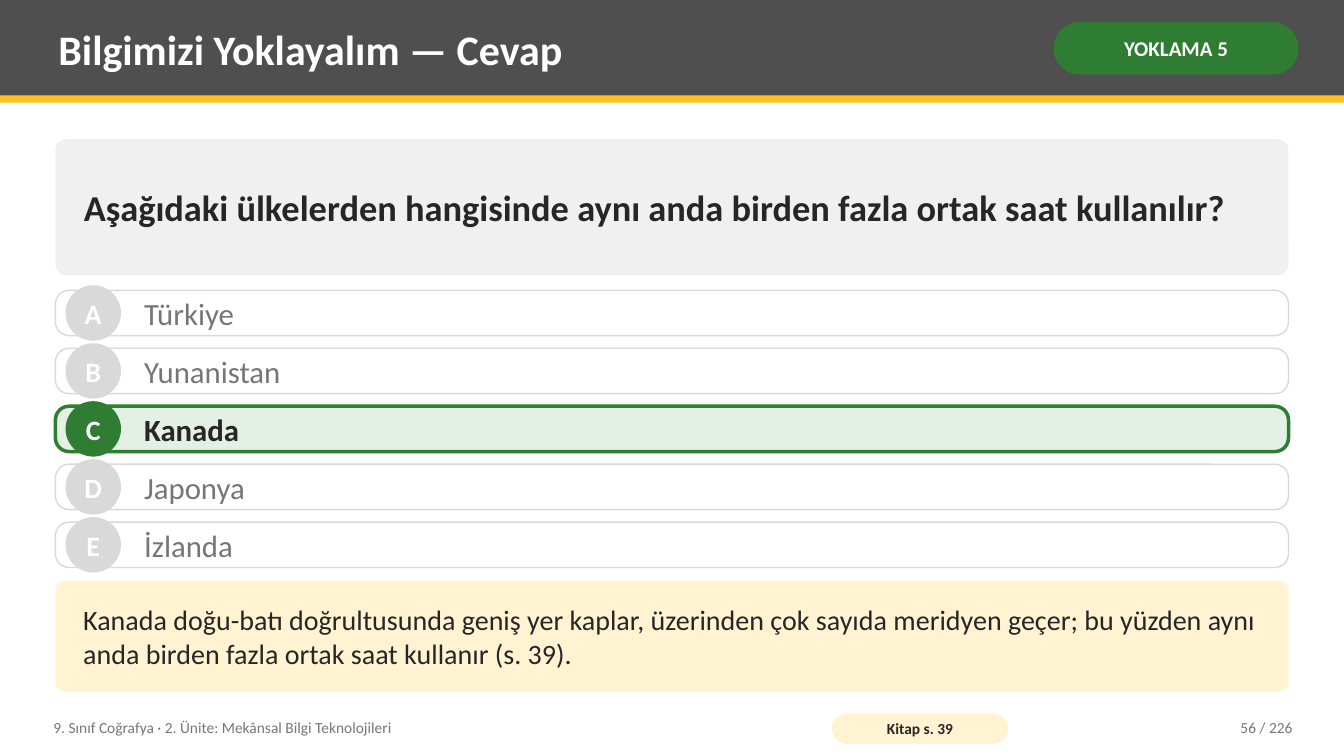
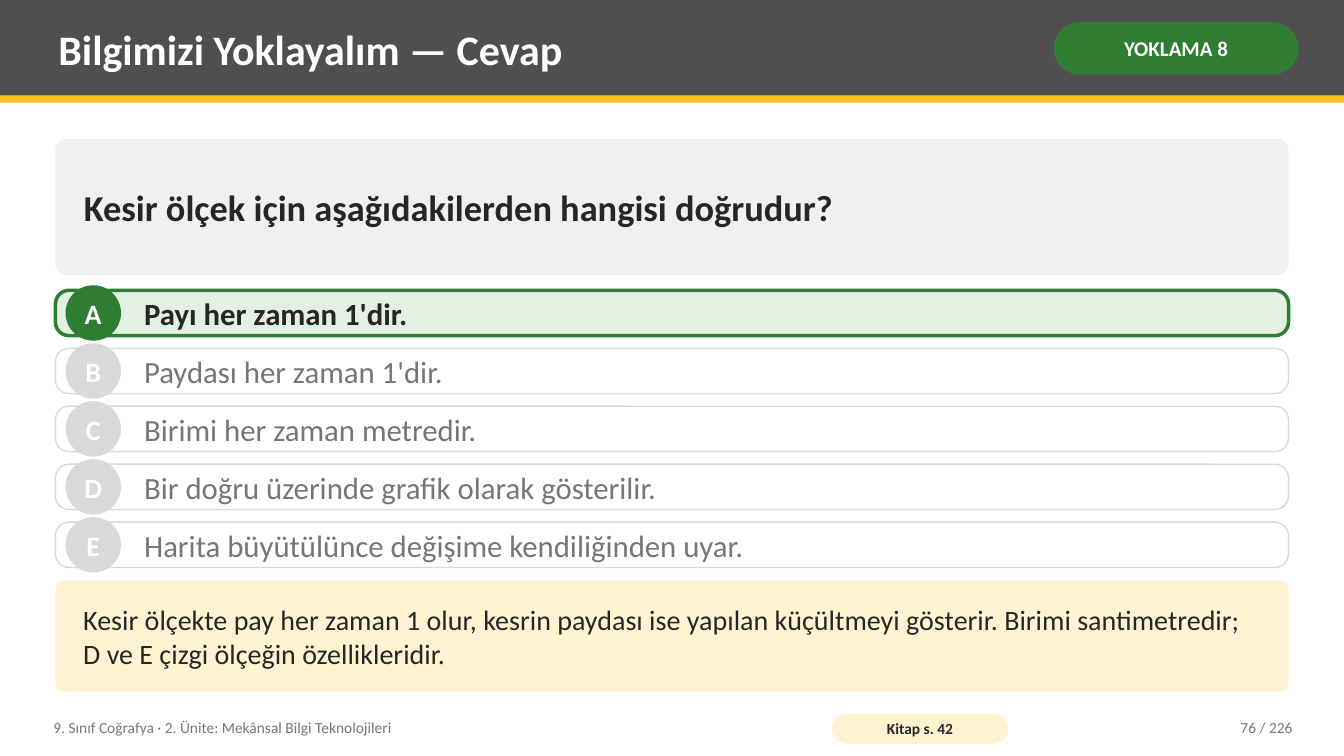
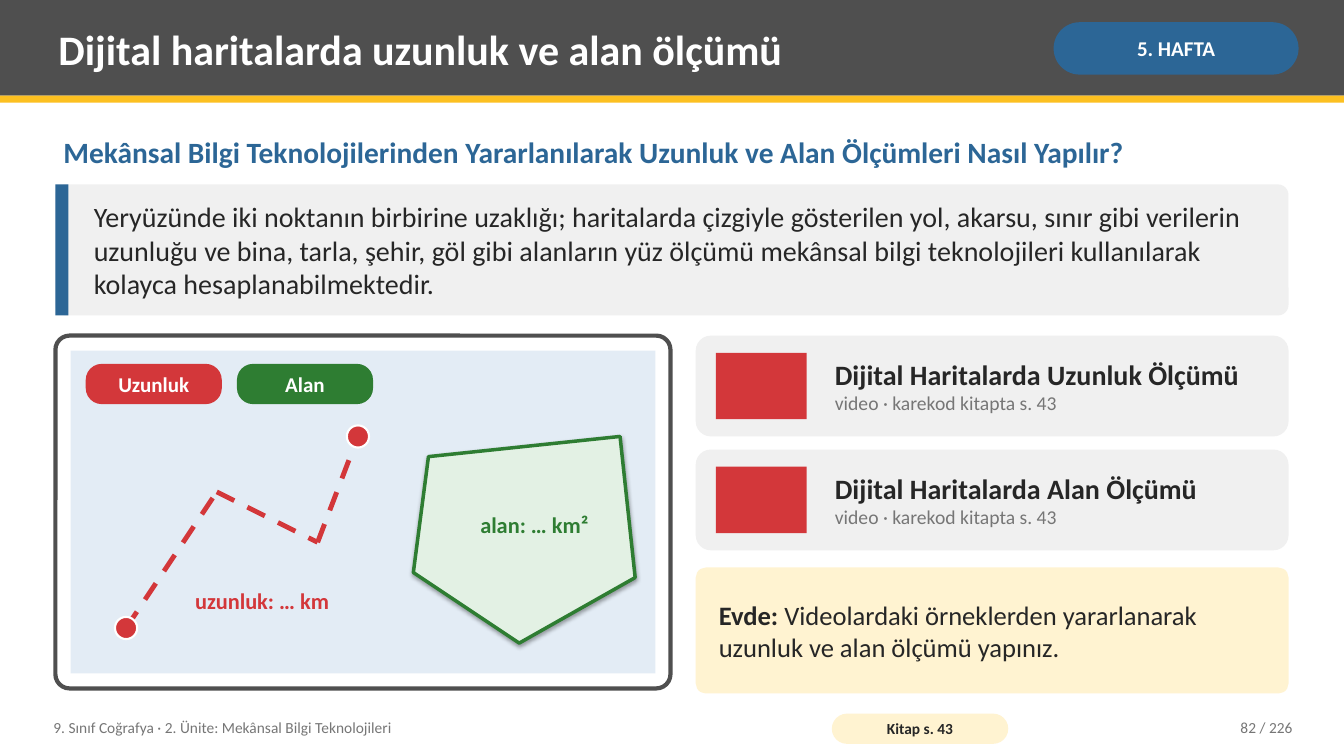
from dataclasses import dataclass
from typing import NamedTuple, Optional

import lxml.etree
import pptx
import pptx.dml.color
import pptx.enum.dml
import pptx.enum.shapes
import pptx.enum.text
import pptx.oxml.ns
import pptx.util

Inches = pptx.util.Inches
RGBColor = pptx.dml.color.RGBColor
MSO_SHAPE = pptx.enum.shapes.MSO_SHAPE
PP_ALIGN = pptx.enum.text.PP_ALIGN

FONT = "Calibri"
WHITE = RGBColor(0xFF, 0xFF, 0xFF)
INK = RGBColor(0x26, 0x26, 0x26)
CHARCOAL = RGBColor(0x4F, 0x4F, 0x4F)
MUTED = RGBColor(0x76, 0x76, 0x76)
SILVER = RGBColor(0xD9, 0xD9, 0xD9)
PANEL = RGBColor(0xF0, 0xF0, 0xF0)
AMBER = RGBColor(0xFC, 0xC0, 0x21)
CREAM = RGBColor(0xFF, 0xF3, 0xD1)
GREEN = RGBColor(0x2E, 0x7D, 0x32)
MINT = RGBColor(0xE3, 0xF1, 0xE4)
BLUE = RGBColor(0x2C, 0x66, 0x96)
MAP_BLUE = RGBColor(0xE3, 0xEC, 0xF5)
RED = RGBColor(0xD3, 0x37, 0x3A)

SLIDE_W, SLIDE_H = 13.33, 7.5
LEFT, CONTENT_W = 0.55, 12.23
TEXT_INSETS = (0.08, 0.04)
CARD_INSETS = (0.25, 0.08)
UNIT = "9. Sınıf Coğrafya · 2. Ünite: Mekânsal Bilgi Teknolojileri"
TOTAL_SLIDES = 226

OPTION_TOP, OPTION_LAST_TOP, OPTION_H = 2.88, 5.18, 0.45
BADGE = 0.55
DOT = 0.22


class Box(NamedTuple):
    left: float
    top: float
    width: float
    height: float


class Stroke(NamedTuple):
    color: RGBColor
    width: float


class Line(NamedTuple):
    text: str
    size: float
    color: RGBColor = INK
    bold: bool = False
    lead: str = ""


@dataclass(frozen=True)
class Frame:
    title: str
    tag: str
    tag_color: RGBColor
    book_page: int
    number: int


@dataclass(frozen=True)
class Quiz:
    frame: Frame
    question: str
    options: tuple[str, ...]
    answer: int
    explanation: str


def write(sp, lines: tuple[Line, ...], align=PP_ALIGN.LEFT, insets=TEXT_INSETS, wrap: bool = True) -> None:
    tf = sp.text_frame
    tf.word_wrap = wrap
    tf.vertical_anchor = pptx.enum.text.MSO_ANCHOR.MIDDLE
    tf.margin_left = tf.margin_right = Inches(insets[0])
    tf.margin_top = tf.margin_bottom = Inches(insets[1])
    for i, line in enumerate(lines):
        p = tf.add_paragraph() if i else tf.paragraphs[0]
        p.alignment = align
        p.font.name = FONT
        p.font.size = pptx.util.Pt(line.size)
        p.font.color.rgb = line.color
        p.font.bold = line.bold
        if line.lead:
            r = p.add_run()
            r.text = line.lead
            r.font.bold = True
        p.add_run().text = line.text


def add_text(s, box: Box, *lines: Line, align=PP_ALIGN.LEFT) -> None:
    write(s.shapes.add_textbox(*map(Inches, box)), lines, align)


def paint(sp, fill: RGBColor, stroke: Optional[Stroke] = None) -> None:
    sp.fill.solid()
    sp.fill.fore_color.rgb = fill
    if stroke:
        sp.line.color.rgb = stroke.color
        sp.line.width = pptx.util.Pt(stroke.width)
    else:
        sp.line.fill.background()


def add_shape(s, kind, box: Box, fill: RGBColor, stroke: Optional[Stroke] = None):
    sp = s.shapes.add_shape(kind, *map(Inches, box))
    sp.shadow.inherit = False
    paint(sp, fill, stroke)
    return sp


def add_card(s, box: Box, fill: RGBColor, radius: float = 0.08, stroke: Optional[Stroke] = None):
    sp = add_shape(s, MSO_SHAPE.ROUNDED_RECTANGLE, box, fill, stroke)
    sp.adjustments[0] = radius
    return sp


def add_pill(s, box: Box, fill: RGBColor, line: Line, radius: float, insets) -> None:
    write(add_card(s, box, fill, radius), (line,), PP_ALIGN.CENTER, insets)


def add_dashed_line(s, start: tuple[float, float], end: tuple[float, float]) -> None:
    sp = s.shapes.add_connector(pptx.enum.shapes.MSO_CONNECTOR.STRAIGHT, *map(Inches, start + end))
    sp.line.color.rgb = RED
    sp.line.width = pptx.util.Pt(3.5)
    sp.line.dash_style = pptx.enum.dml.MSO_LINE.DASH
    lxml.etree.SubElement(sp._element.spPr, pptx.oxml.ns.qn("a:effectLst"))


def new_slide(prs, frame: Frame):
    s = prs.slides.add_slide(prs.slide_layouts[6])
    s.background.fill.solid()
    s.background.fill.fore_color.rgb = WHITE
    add_shape(s, MSO_SHAPE.RECTANGLE, Box(0, 0, SLIDE_W, 0.95), CHARCOAL)
    add_shape(s, MSO_SHAPE.RECTANGLE, Box(0, 0.95, SLIDE_W, 0.07), AMBER)
    add_text(s, Box(0.5, 0.07, 9.75, 0.82), Line(frame.title, 30, WHITE, True))
    add_pill(s, Box(10.45, 0.22, 2.43, 0.52), frame.tag_color,
             Line(frame.tag, 15, WHITE, True), 0.5, (0.05, 0.02))
    add_text(s, Box(0.45, 7.04, 7.6, 0.36), Line(UNIT, 11, MUTED))
    add_pill(s, Box(8.25, 7.08, 1.75, 0.3), CREAM,
             Line(f"Kitap s. {frame.book_page}", 11, INK, True), 0.5, (0.04, 0))
    add_text(s, Box(11.3, 7.04, 1.6, 0.36),
             Line(f"{frame.number} / {TOTAL_SLIDES}", 11, MUTED), align=PP_ALIGN.RIGHT)
    return s


def add_option(s, top: float, letter: str, text: str, correct: bool) -> None:
    accent = GREEN if correct else SILVER
    add_card(s, Box(LEFT, top, CONTENT_W, OPTION_H), MINT if correct else WHITE, 0.3,
             Stroke(accent, 2.5 if correct else 1))
    badge_top = top + (OPTION_H - BADGE) / 2
    badge = add_shape(s, MSO_SHAPE.OVAL, Box(0.65, badge_top, BADGE, BADGE), accent)
    write(badge, (Line(letter, 20, WHITE, True),), PP_ALIGN.CENTER, (0, 0), wrap=False)
    add_text(s, Box(1.35, top, 11.23, OPTION_H), Line(text, 22, INK if correct else MUTED, correct))


def build_quiz(prs, quiz: Quiz) -> None:
    s = new_slide(prs, quiz.frame)
    question = add_card(s, Box(LEFT, 1.38, CONTENT_W, 1.35), PANEL)
    write(question, (Line(quiz.question, 26, INK, True),), insets=CARD_INSETS)
    step = (OPTION_LAST_TOP - OPTION_TOP) / (len(quiz.options) - 1)
    for i, (letter, text) in enumerate(zip("ABCDE", quiz.options)):
        add_option(s, OPTION_TOP + i * step, letter, text, i == quiz.answer)
    explanation = add_card(s, Box(LEFT, 5.76, CONTENT_W, 1.1), CREAM)
    write(explanation, (Line(quiz.explanation, 20),), insets=CARD_INSETS)


def add_map(s) -> None:
    add_card(s, Box(LEFT, 3.33, 6.1, 3.5), WHITE, 0.04, Stroke(CHARCOAL, 3))
    add_shape(s, MSO_SHAPE.RECTANGLE, Box(0.7, 3.48, 5.8, 3.2), MAP_BLUE)
    for left, label, color in ((0.85, "Uzunluk", RED), (2.35, "Alan", GREEN)):
        add_pill(s, Box(left, 3.61, 1.35, 0.4), color, Line(label, 15, WHITE, True), 0.4, (0.03, 0))

    route = ((1.25, 6.23), (2.15, 4.88), (3.15, 5.38), (3.55, 4.33))
    for start, end in zip(route, route[1:]):
        add_dashed_line(s, start, end)
    for x, y in (route[0], route[-1]):
        add_shape(s, MSO_SHAPE.OVAL, Box(x - DOT / 2, y - DOT / 2, DOT, DOT), RED, Stroke(WHITE, 1.5))

    area = [(Inches(x), Inches(y)) for x, y in
            ((4.25, 4.53), (6.15, 4.33), (6.3, 5.73), (5.15, 6.38), (4.1, 5.68))]
    outline = s.shapes.build_freeform(*area[0])
    outline.add_line_segments(area[1:], close=True)
    paint(outline.convert_to_shape(), MINT, Stroke(GREEN, 2.5))

    add_text(s, Box(4.5, 4.98, 1.6, 0.45), Line("alan: … km²", 16, GREEN, True), align=PP_ALIGN.CENTER)
    add_text(s, Box(1.7, 5.73, 1.8, 0.45), Line("uzunluk: … km", 16, RED, True), align=PP_ALIGN.CENTER)


def add_video(s, top: float, title: str) -> None:
    add_card(s, Box(6.9, top, 5.88, 1), PANEL, 0.15)
    add_shape(s, MSO_SHAPE.RECTANGLE, Box(7.1, top + 0.17, 0.9, 0.66), RED)
    add_text(s, Box(8.2, top, 4.48, 1), Line(title, 20, INK, True),
             Line("video · karekod kitapta s. 43", 14, MUTED))


def build_measurement(prs) -> None:
    s = new_slide(prs, Frame("Dijital haritalarda uzunluk ve alan ölçümü", "5. HAFTA", BLUE, 43, 82))
    add_text(s, Box(LEFT, 1.26, CONTENT_W, 0.5), Line(
        "Mekânsal Bilgi Teknolojilerinden Yararlanılarak Uzunluk ve Alan Ölçümleri Nasıl Yapılır?",
        21, BLUE, True))
    add_card(s, Box(LEFT, 1.83, CONTENT_W, 1.3), PANEL)
    add_shape(s, MSO_SHAPE.RECTANGLE, Box(LEFT, 1.83, 0.13, 1.3), BLUE)
    add_text(s, Box(0.85, 1.83, 11.78, 1.3), Line(
        "Yeryüzünde iki noktanın birbirine uzaklığı; haritalarda çizgiyle gösterilen yol, akarsu, "
        "sınır gibi verilerin uzunluğu ve bina, tarla, şehir, göl gibi alanların yüz ölçümü mekânsal "
        "bilgi teknolojileri kullanılarak kolayca hesaplanabilmektedir.", 20))
    add_map(s)
    add_video(s, 3.33, "Dijital Haritalarda Uzunluk Ölçümü")
    add_video(s, 4.46, "Dijital Haritalarda Alan Ölçümü")
    homework = add_card(s, Box(6.9, 5.63, 5.88, 1.25), CREAM)
    write(homework, (Line(" Videolardaki örneklerden yararlanarak uzunluk ve alan ölçümü yapınız.",
                          19, lead="Evde:"),), insets=(0.2, 0.08))


QUIZ_TITLE = "Bilgimizi Yoklayalım — Cevap"
QUIZZES = (
    Quiz(
        Frame(QUIZ_TITLE, "YOKLAMA 5", GREEN, 39, 56),
        "Aşağıdaki ülkelerden hangisinde aynı anda birden fazla ortak saat kullanılır?",
        ("Türkiye", "Yunanistan", "Kanada", "Japonya", "İzlanda"),
        2,
        "Kanada doğu-batı doğrultusunda geniş yer kaplar, üzerinden çok sayıda meridyen geçer; "
        "bu yüzden aynı anda birden fazla ortak saat kullanır (s. 39).",
    ),
    Quiz(
        Frame(QUIZ_TITLE, "YOKLAMA 8", GREEN, 42, 76),
        "Kesir ölçek için aşağıdakilerden hangisi doğrudur?",
        (
            "Payı her zaman 1'dir.",
            "Paydası her zaman 1'dir.",
            "Birimi her zaman metredir.",
            "Bir doğru üzerinde grafik olarak gösterilir.",
            "Harita büyütülünce değişime kendiliğinden uyar.",
        ),
        0,
        "Kesir ölçekte pay her zaman 1 olur, kesrin paydası ise yapılan küçültmeyi gösterir. "
        "Birimi santimetredir; D ve E çizgi ölçeğin özellikleridir.",
    ),
)


def main() -> None:
    prs = pptx.Presentation()
    prs.slide_width, prs.slide_height = Inches(SLIDE_W), Inches(SLIDE_H)
    for quiz in QUIZZES:
        build_quiz(prs, quiz)
    build_measurement(prs)
    prs.save("out.pptx")


if __name__ == "__main__":
    main()
